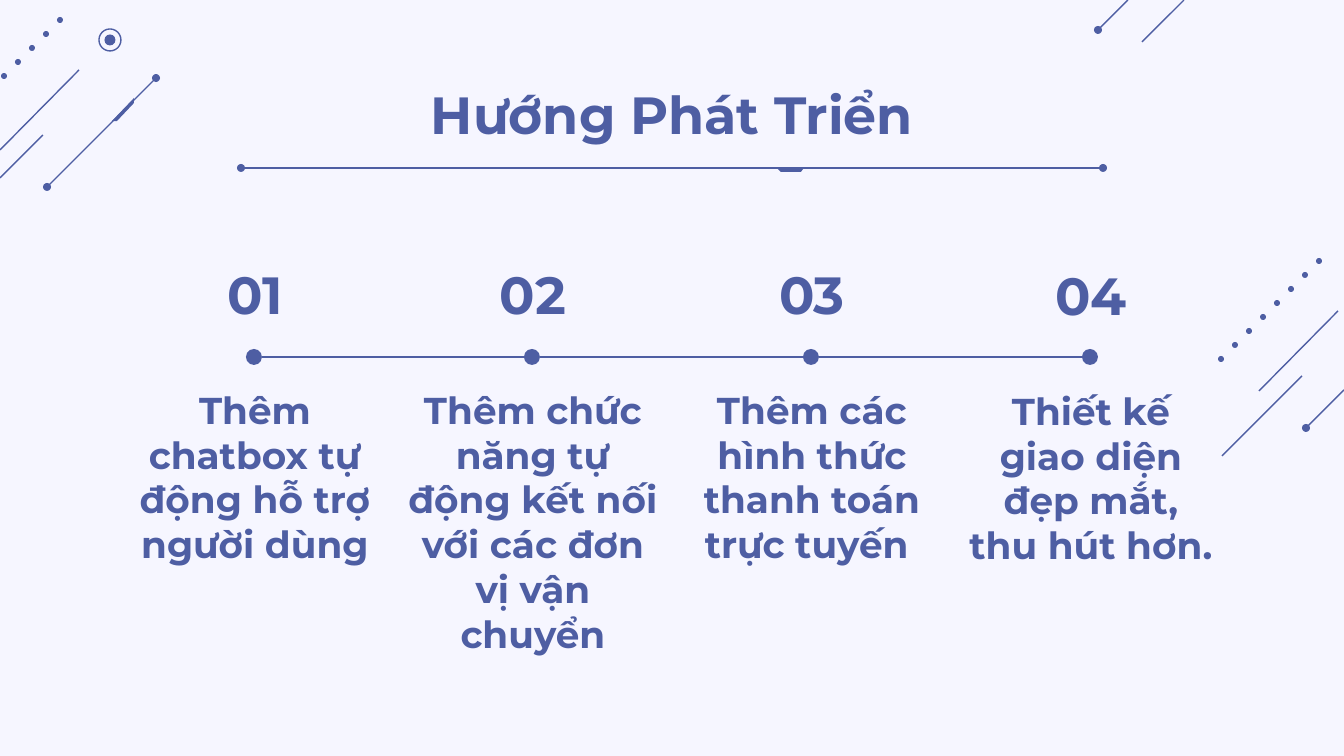
"""Build a slide with a four-step timeline and diagonal line ornaments."""
from itertools import pairwise

from lxml.etree import SubElement
from pptx import Presentation
from pptx.dml.color import RGBColor
from pptx.enum.shapes import MSO_CONNECTOR, MSO_SHAPE
from pptx.enum.text import MSO_ANCHOR, PP_ALIGN
from pptx.oxml.ns import qn
from pptx.util import Pt

WIDE, HIGH = 1344, 756
UNIT = 9144000 / WIDE
COLORS = {"ink": "4E5EA3", "back": "F6F6FF"}
FONT = "Montserrat"
TITLE = "Hướng Phát Triển"
STEPS = [
    ("Thêm chatbox tự động hỗ trợ người dùng", 50, 0),
    ("Thêm chức năng tự động kết nối với các đơn vị vận chuyển", 233, 0),
    ("Thêm các hình thức thanh toán trực tuyến ", 50, 0),
    ("Thiết kế giao diện đẹp mắt, thu hút hơn.", 50, 1),
]
RAYS = [
    (1338, 311, 1259, 391), (1302, 376, 1222, 456), (1344, 390, 1306, 428),
    (79, 70, 0, 150), (43, 135, 0, 178), (156, 78, 47, 187),
    (1184, 0, 1142, 42), (1128, 0, 1098, 30),
]
ENDS = [(1306, 428), (156, 78), (47, 187), (1098, 30)]
TRAILS = [(1319, 261, 8), (60, 20, 5)]
TABS = [
    [(134, 98), (112, 121), (117, 121), (134, 103)],
    [(777, 168), (804, 168), (801, 172), (781, 172)],
]


def emu(*sizes):
    return [round(size * UNIT) for size in sizes]


def color(name):
    return RGBColor.from_string(COLORS[name])


def paint(shape):
    shape.shadow.inherit = False
    shape.fill.solid()
    shape.fill.fore_color.rgb = color("ink")
    shape.line.fill.background()


def dot(slide, x, y, size):
    box = emu(x - size / 2, y - size / 2, size, size)
    shape = slide.shapes.add_shape(MSO_SHAPE.OVAL, *box)
    paint(shape)
    return shape


def ring(slide, x, y, size):
    shape = dot(slide, x, y, size)
    shape.fill.background()
    shape.line.color.rgb = color("ink")
    shape.line.width = Pt(0.75)


def line(slide, *ends):
    rule = slide.shapes.add_connector(MSO_CONNECTOR.STRAIGHT, *emu(*ends))
    rule.line.color.rgb = color("ink")
    rule.line.width = Pt(0.75)
    SubElement(rule._element.spPr, qn("a:effectLst"))


def tab(slide, points):
    path = slide.shapes.build_freeform(*points[0], scale=UNIT)
    path.add_line_segments(points[1:], close=True)
    paint(path.convert_to_shape())


def label(slide, text, box, size):
    frame = slide.shapes.add_textbox(*emu(*box)).text_frame
    frame.word_wrap = True
    frame.vertical_anchor = MSO_ANCHOR.TOP
    frame.margin_top = frame.margin_bottom = 0
    para = frame.paragraphs[0]
    para.text = text
    para.alignment = PP_ALIGN.CENTER
    font = para.font
    font.name, font.size, font.bold = FONT, Pt(size), True
    font.color.rgb = color("ink")


def trim(slide):
    for ray in RAYS:
        line(slide, *ray)
    for x, y in ENDS:
        dot(slide, x, y, 8)
    for x, y, count in TRAILS:
        for i in range(count):
            dot(slide, x - 14 * i, y + 14 * i, 6)
    ring(slide, 110, 40, 22)
    dot(slide, 110, 40, 11)
    for points in TABS:
        tab(slide, points)


def header(slide):
    label(slide, TITLE, (115, 82, 1114, 85), 28)
    line(slide, 241, 168, 1103, 168)
    for x in (241, 1103):
        dot(slide, x, 168, 8)


def steps(slide):
    mids = [254 + 836 * i // 3 for i in range(len(STEPS))]
    for left, right in pairwise(mids):
        line(slide, left + 8, 357, right - 8, 357)
    for i, (mid, (text, tall, drop)) in enumerate(zip(mids, STEPS), 1):
        dot(slide, mid, 357, 16)
        label(slide, f"{i:02}", (mid - 138, 262 + drop, 278, 65), 28)
        label(slide, text, (mid - 138, 387 + drop, 278, tall), 20)


def main():
    deck = Presentation()
    deck.slide_width, deck.slide_height = emu(WIDE, HIGH)
    slide = deck.slides.add_slide(deck.slide_layouts[6])
    slide.background.fill.solid()
    slide.background.fill.fore_color.rgb = color("back")
    trim(slide)
    header(slide)
    steps(slide)
    deck.save("out.pptx")


main()
